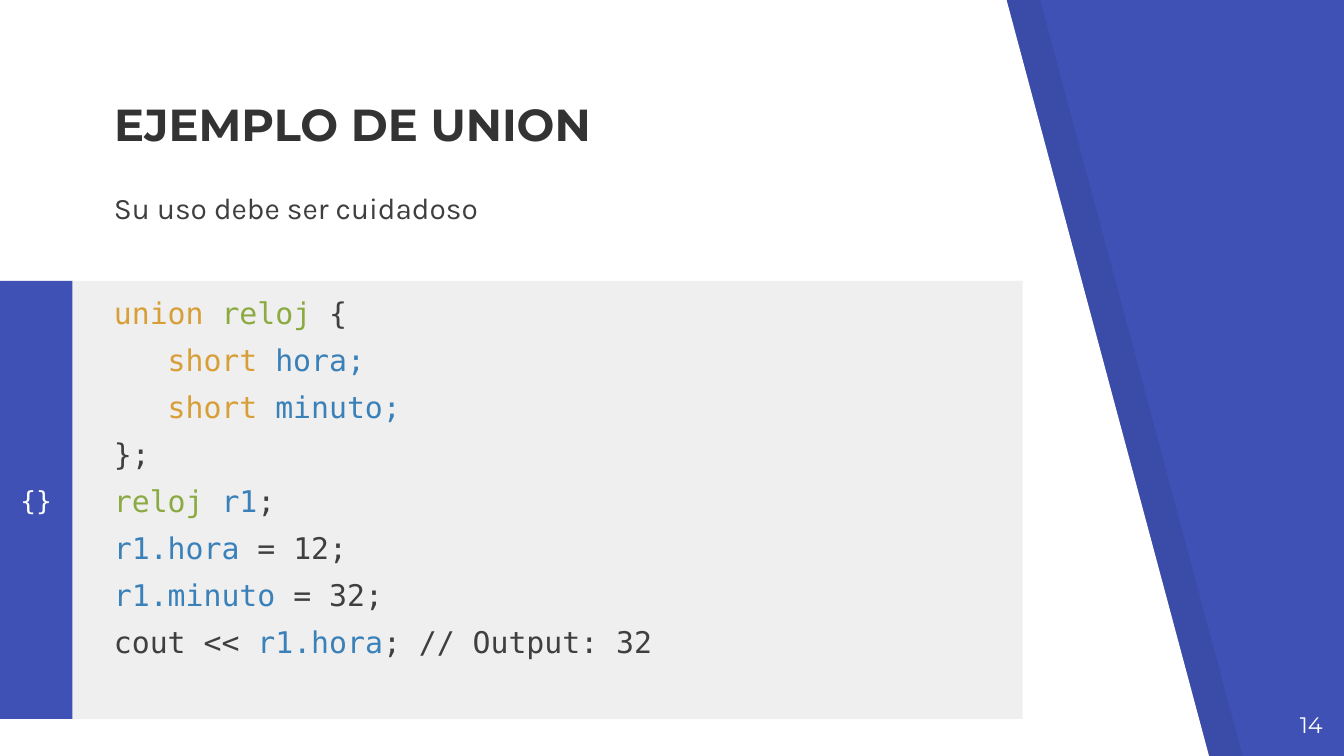
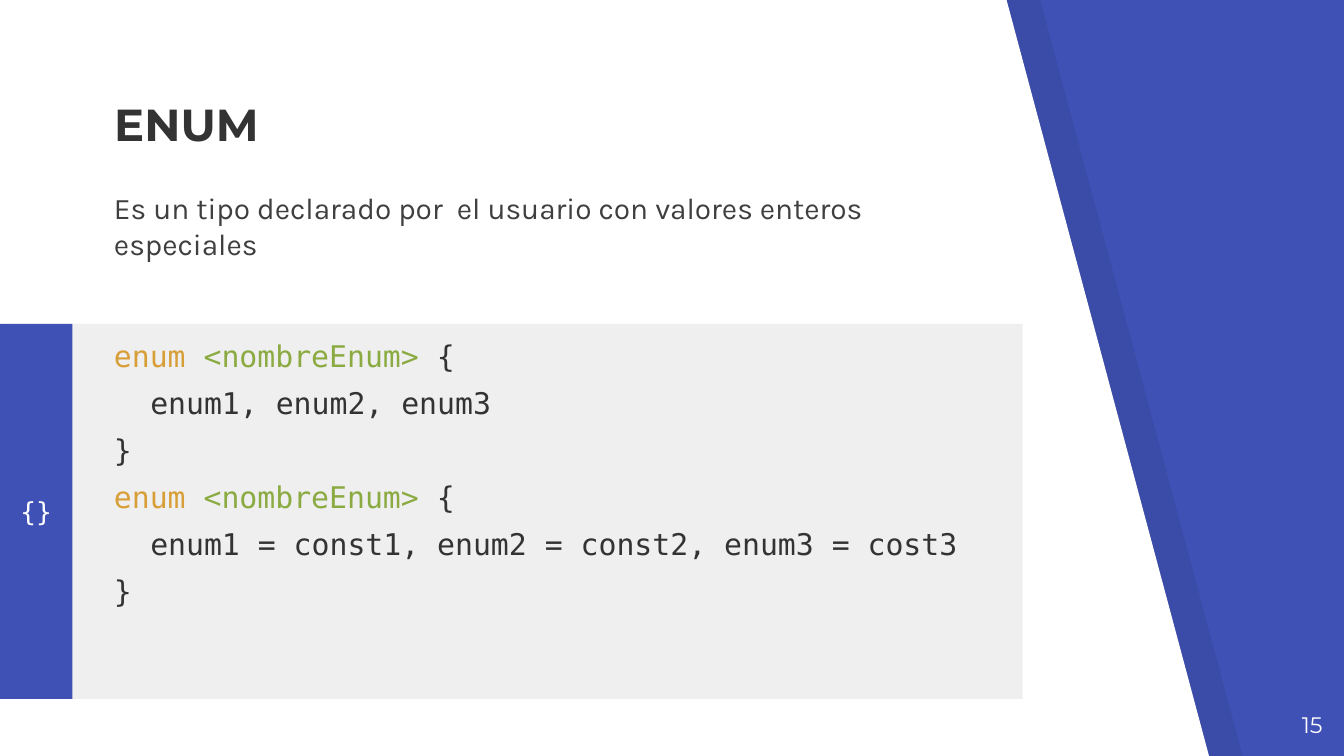
from pptx import Presentation
from pptx.dml.color import RGBColor as Rgb
from pptx.enum.shapes import MSO_SHAPE as Shape
from pptx.enum.text import MSO_ANCHOR as Anchor, MSO_AUTO_SIZE as Auto, PP_ALIGN as Align
from pptx.oxml.ns import qn
from pptx.util import Inches, Pt
from lxml import etree

BLUE = Rgb(0x3F, 0x51, 0xB5)
BLACK = Rgb(0, 0, 0)
WHITE = Rgb(255, 255, 255)
PALE = Rgb(0xEF, 0xEF, 0xEF)
DARK = Rgb(0x33, 0x33, 0x33)
GRAY = Rgb(0x3F, 0x3F, 0x3F)
GOLD = Rgb(0xD8, 0x9F, 0x39)
GREEN = Rgb(0x8B, 0xAB, 0x42)
SKY = Rgb(0x3A, 0x81, 0xBA)

MONO, BODY, HEAD = "DejaVu Sans Mono", "Karla", "Montserrat"
LEFT, WIDE = 0.75, 6.73


class Deck:
    def __init__(self):
        self.prs = Presentation()
        self.prs.slide_width = Inches(10)
        self.prs.slide_height = Inches(10 * 9 / 16)
        fill = self.prs.slide_master.background.fill
        fill.solid()
        fill.fore_color.rgb = BLUE

    def start(self, title, number):
        self.slide = self.prs.slides.add_slide(self.prs.slide_layouts[5])
        self.shapes = self.slide.shapes
        self.wedge(0.25, BLACK, 7)
        self.wedge(0, WHITE)
        self.title(title)
        frame = self.box(9.34, 5.19, 0.6, 0.43)
        self.line(frame, [(number, WHITE)], HEAD, 12, align=Align.RIGHT)

    def paint(self, shape, color, alpha=None):
        shape.shadow.inherit = False
        shape.fill.solid()
        shape.fill.fore_color.rgb = color
        shape.line.fill.background()
        if alpha:
            tint = shape.element.spPr.find(".//" + qn("a:srgbClr"))
            etree.SubElement(tint, qn("a:alpha"), val=str(alpha * 1000))

    def wedge(self, left, color, alpha=None):
        points = [(0, 5.64), (9, 5.64), (7.49, 0)]
        build = self.shapes.build_freeform(Inches(left), Inches(-0.01))
        build.add_line_segments([(Inches(left + x), Inches(y)) for x, y in points])
        self.paint(build.convert_to_shape(), color, alpha)

    def bar(self, left, top, width, height, color):
        shape = self.shapes.add_shape(
            Shape.RECTANGLE, Inches(left), Inches(top), Inches(width), Inches(height))
        self.paint(shape, color)
        return shape

    def pad(self, frame, anchor):
        frame.word_wrap = True
        frame.auto_size = Auto.NONE
        frame.vertical_anchor = anchor
        frame.margin_left = frame.margin_right = Inches(0.1)
        frame.margin_top = frame.margin_bottom = Inches(0.1)
        return frame

    def box(self, left, top, width, height):
        shape = self.shapes.add_textbox(
            Inches(left), Inches(top), Inches(width), Inches(height))
        return self.pad(shape.text_frame, Anchor.TOP)

    def line(self, frame, runs, font, size, bold=False, align=Align.LEFT, before=0, indent=0):
        para = frame.paragraphs[0]
        if para.runs:
            para = frame.add_paragraph()
        para.alignment = align
        para.space_before = Pt(before)
        if indent:
            para._p.get_or_add_pPr().set("marL", str(Inches(indent)))
        for text, color in runs:
            run = para.add_run()
            run.text = text
            run.font.name = font
            run.font.size = Pt(size)
            run.font.bold = bold
            run.font.color.rgb = color

    def title(self, text):
        shape = self.shapes.title
        shape.left, shape.top = Inches(LEFT), Inches(0.77)
        shape.width, shape.height = Inches(WIDE), Inches(0.45)
        self.shapes.element.append(shape.element)
        frame = self.pad(shape.text_frame, Anchor.BOTTOM)
        self.line(frame, [(text, DARK)], HEAD, 24, bold=True)

    def intro(self, text, height):
        frame = self.box(LEFT, 1.31, WIDE, height)
        self.line(frame, [(text, GRAY)], BODY, 16, before=6)

    def code(self, top, height, lines):
        self.bar(0.03, top, 7.58, height, PALE)
        tab = self.bar(0, top, 0.54, height, BLUE)
        frame = self.pad(tab.text_frame, Anchor.MIDDLE)
        self.line(frame, [("{}", WHITE)], MONO, 14, align=Align.CENTER)
        frame = self.box(LEFT, top, WIDE, height)
        for indent, *runs in lines:
            self.line(frame, runs, MONO, 16, before=6, indent=indent)


def main():
    deck = Deck()

    deck.start("EJEMPLO DE UNION", "14")
    deck.intro("Su uso debe ser cuidadoso", 1.38)
    deck.code(2.09, 3.26, [
        (0, ("union ", GOLD), ("reloj ", GREEN), ("{", GRAY)),
        (0.4, ("short ", GOLD), ("hora;", SKY)),
        (0.4, ("short ", GOLD), ("minuto;", SKY)),
        (0, ("};", GRAY)),
        (0, ("reloj ", GREEN), ("r1", SKY), (";", GRAY)),
        (0, ("r1.hora", SKY), (" = 12;", GRAY)),
        (0, ("r1.minuto", SKY), (" = 32;", GRAY)),
        (0, ("cout << ", GRAY), ("r1.hora", SKY), ("; // Output: 32", GRAY)),
    ])

    deck.start("ENUM", "15")
    deck.intro("Es un tipo declarado por  el usuario con valores enteros especiales", 0.88)
    head = (0, ("enum ", GOLD), ("<nombreEnum>", GREEN), (" {", DARK))
    tail = (0, ("}", DARK))
    deck.code(2.41, 2.79, [
        head,
        (0.27, ("enum1, enum2, enum3", DARK)),
        tail,
        head,
        (0.27, ("enum1 = const1, enum2 = const2, enum3 = cost3", DARK)),
        tail,
    ])

    deck.prs.save("out.pptx")


if __name__ == "__main__":
    main()
